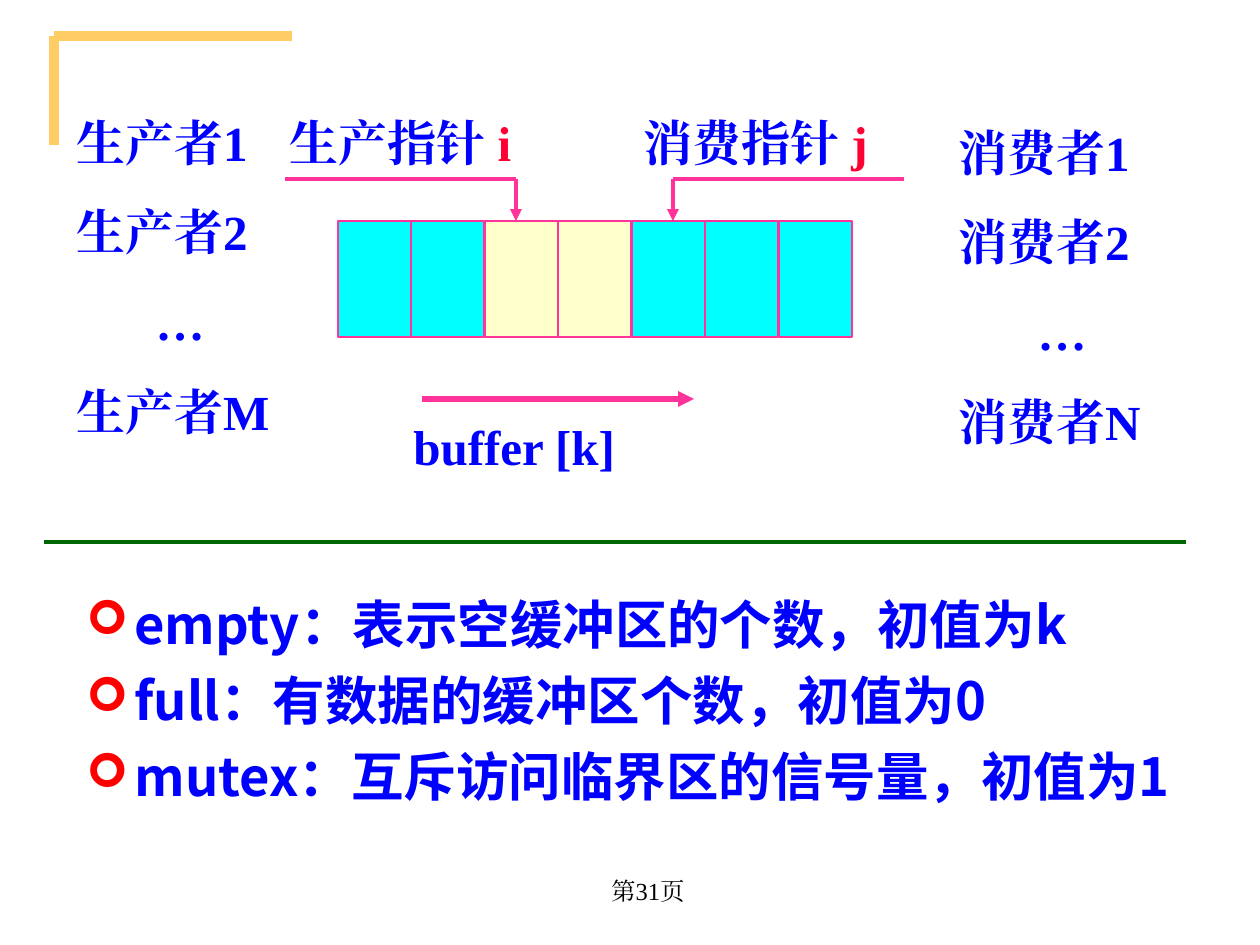
from lxml import etree
from pptx import Presentation
from pptx.dml.color import RGBColor
from pptx.enum import lang, shapes, text
from pptx.oxml.ns import qn
from pptx.util import Pt

SCALE = 914400 / 126
BLUE, RED, PINK = "0000FF", "FF0033", "FF3399"
CYAN, CREAM, GOLD, GREEN = "00FFFF", "FFFFCC", "FFCC66", "006600"
SERIF, SANS = "Times New Roman", "Noto Sans CJK SC"
LEFT, MID = text.PP_ALIGN.LEFT, text.PP_ALIGN.CENTER


def px(n):
    return round(n * SCALE)


def tint(code):
    return RGBColor.from_string(code)


def put(par, words, size=28, face=SERIF, color=BLUE, bold=True):
    """Add one formatted run to a paragraph."""
    run = par.add_run()
    run.text = words
    font = run.font
    font.size, font.name, font.bold = Pt(size), face, bold
    font.color.rgb = tint(color)
    font.language_id = lang.MSO_LANGUAGE_ID.SIMPLIFIED_CHINESE
    asian = etree.Element(qn("a:ea"), typeface=face)
    font._element.find(qn("a:latin")).addnext(asian)


def mark(par):
    """Give a paragraph a hanging red arrow bullet."""
    props = par._p.get_or_add_pPr()
    props.set("marL", str(px(48)))
    props.set("indent", str(px(-48)))
    hue = etree.SubElement(props, qn("a:buClr"))
    etree.SubElement(hue, qn("a:srgbClr"), val="FF0000")
    etree.SubElement(props, qn("a:buSzPct"), val="90000")
    etree.SubElement(props, qn("a:buFont"), typeface="Wingdings")
    etree.SubElement(props, qn("a:buChar"), char="➢")


class Board:
    def __init__(self, deck):
        self.slide = deck.slides.add_slide(deck.slide_layouts[6])
        self.items = self.slide.shapes

    def line(self, x1, y1, x2, y2, color=PINK, width=2.25, arrow=False):
        item = self.items.add_connector(
            shapes.MSO_CONNECTOR.STRAIGHT, px(x1), px(y1), px(x2), px(y2))
        item.line.color.rgb = tint(color)
        item.line.width = Pt(width)
        if arrow:
            etree.SubElement(item.line._get_or_add_ln(), qn("a:tailEnd"),
                             type="triangle")
        etree.SubElement(item._element.spPr, qn("a:effectLst"))

    def cell(self, x, y, w, h, fill):
        item = self.items.add_shape(
            shapes.MSO_SHAPE.RECTANGLE, px(x), px(y), px(w), px(h))
        item.shadow.inherit = False
        item.fill.solid()
        item.fill.fore_color.rgb = tint(fill)
        item.line.color.rgb = tint(PINK)
        item.line.width = Pt(0.75)

    def words(self, x, y, w, h, rows, align=LEFT, gap=17.5, pitch=33.7,
              bullet=False, anchor=text.MSO_ANCHOR.TOP, **style):
        """Each row is a list of (text, colour) runs."""
        frame = self.items.add_textbox(px(x), px(y), px(w), px(h)).text_frame
        frame.word_wrap = True
        frame.vertical_anchor = anchor
        for i, row in enumerate(rows):
            par = frame.add_paragraph() if i else frame.paragraphs[0]
            par.alignment = MID if row[0][0] == "…" else align
            if pitch:
                par.line_spacing = Pt(pitch)
            if i:
                par.space_before = Pt(gap)
            if bullet:
                mark(par)
            for part, color in row:
                put(par, part, color=color, **style)


def main():
    deck = Presentation()
    deck.slide_width, deck.slide_height = px(1260), px(945)
    board = Board(deck)

    # Corner ornament and page number
    board.line(54, 36, 292, 36, GOLD, 6)
    board.line(54, 36, 54, 145, GOLD, 6)
    board.words(517, 859, 262, 63, [[("第31页", "000000")]], MID, pitch=None,
                anchor=text.MSO_ANCHOR.MIDDLE, size=14, bold=False)

    # Semaphores
    notes = ["empty：表示空缓冲区的个数，初值为k",
             "full：有数据的缓冲区个数，初值为0",
             "mutex：互斥访问临界区的信号量，初值为1"]
    board.words(74, 586, 1142, 276, [[(note, BLUE)] for note in notes],
                text.PP_ALIGN.JUSTIFY, gap=7.5, pitch=36, bullet=True,
                size=30, face=SANS)

    # Buffer slots
    fills = [CYAN] * 2 + [CREAM] * 2 + [CYAN] * 3
    for i, fill in enumerate(fills):
        board.cell(338 + i * 515 // 7, 221, 73, 116, fill)

    # Producers and consumers
    for x, y, role, last in ((64, 106, "生产者", "M"), (946, 116, "消费者", "N")):
        names = [role + "1", role + "2", "…", role + last]
        board.words(x, y, 232, 340, [[(name, BLUE)] for name in names])

    # Pointers into the buffer
    for x, label, key, align, start, tip in (
            (243, "生产指针 ", "i", MID, 285, 516),
            (631, "消费指针 ", "j", LEFT, 904, 673)):
        board.words(x, 106, 315, 72, [[(label, BLUE), (key, RED)]], align)
        board.line(start, 179, tip, 179)
        board.line(tip, 179, tip, 221, arrow=True)

    # Direction and buffer name
    board.line(422, 399, 694, 399, width=3, arrow=True)
    board.words(401, 410, 325, 72, [[("buffer [k]", BLUE)]])

    # Divider
    board.line(44, 542, 1186, 542, GREEN)

    deck.save("out.pptx")


if __name__ == "__main__":
    main()
